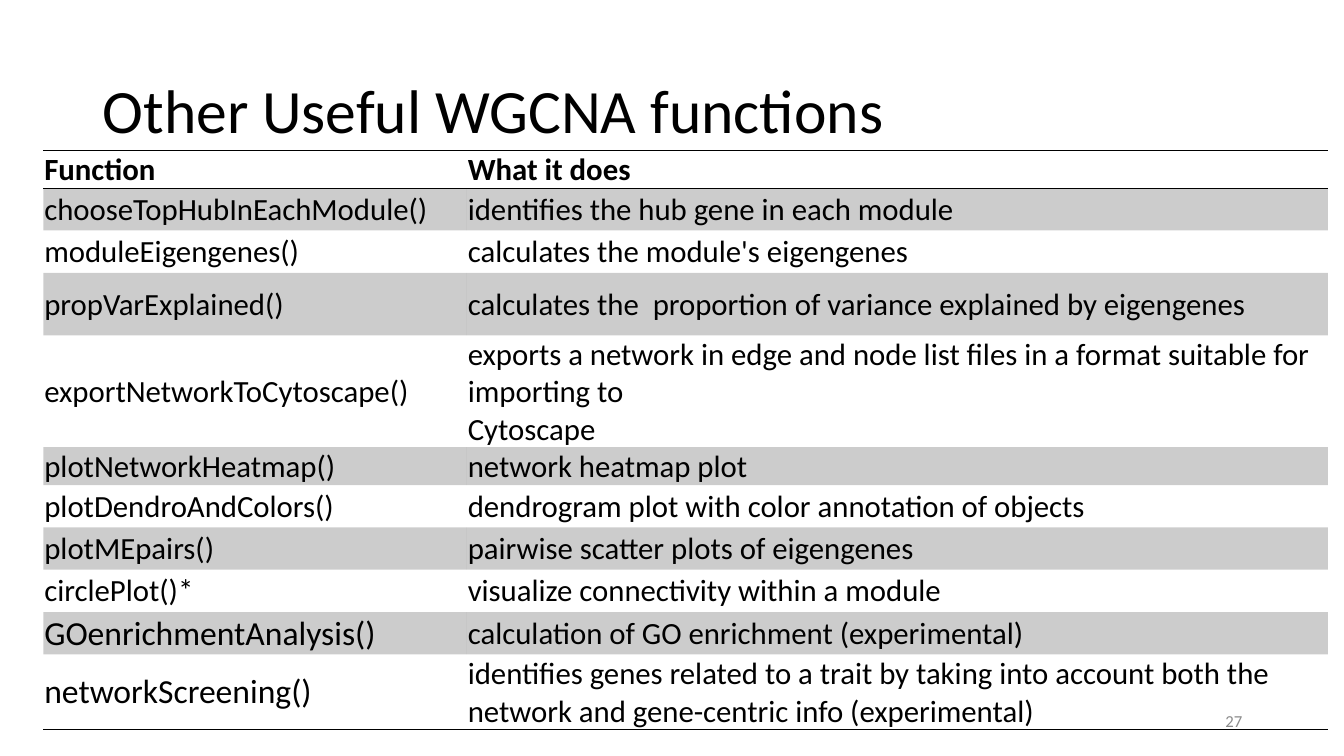
from lxml import etree
from pptx import Presentation
from pptx.dml.color import RGBColor
from pptx.enum.text import MSO_ANCHOR, PP_ALIGN
from pptx.oxml import parse_xml
from pptx.oxml.ns import nsdecls, qn
from pptx.util import Inches, Pt

COLORS = {"text": "000000", "band": "000000", "rule": "000000", "number": "8C8C8C"}
NO_STYLE_NO_GRID = "{2D5ABB26-0587-4C30-8999-92F81FD0307C}"
BAND_ALPHA = "20000"

HEADER = ("Function", "What it does")
FUNCTIONS = [
    ("chooseTopHubInEachModule()", "identifies the hub gene in each module"),
    ("moduleEigengenes()", "calculates the module's eigengenes"),
    ("propVarExplained()", "calculates the  proportion of variance explained by eigengenes"),
    ("exportNetworkToCytoscape()",
     "exports a network in edge and node list files in a format suitable for importing to\nCytoscape"),
    ("plotNetworkHeatmap()", "network heatmap plot"),
    ("plotDendroAndColors()", "dendrogram plot with color annotation of objects"),
    ("plotMEpairs()", "pairwise scatter plots of eigengenes"),
    ("circlePlot()*", "visualize connectivity within a module"),
    ("GOenrichmentAnalysis()", "calculation of GO enrichment (experimental)"),
    ("networkScreening()",
     "identifies genes related to a trait by taking into account both the network "
     "and gene-centric info (experimental)"),
]
LARGE_NAMES = ("GOenrichmentAnalysis()", "networkScreening()")
COLUMN_WIDTHS = (4.2, 8.54)
ROW_HEIGHTS = (0.21, 0.42, 0.42, 0.62, 0.83, 0.21, 0.42, 0.42, 0.42, 0.42, 0.42)


def write(frame, text, size, color="text", bold=False, align=PP_ALIGN.LEFT, spacing=1.0):
    frame.word_wrap = True
    paragraph = frame.paragraphs[0]
    paragraph.text = text
    paragraph.alignment = align
    paragraph.line_spacing = spacing
    for run in paragraph.runs:
        run.font.name = "Calibri"
        run.font.size = Pt(size)
        run.font.bold = bold
        run.font.color.rgb = RGBColor.from_string(COLORS[color])


def add_rule(cell, side):
    """Draw a 1 pt border on one side of a cell: lnT for top, lnB for bottom."""
    cell._tc.get_or_add_tcPr().append(parse_xml(
        f'<a:{side} {nsdecls("a")} w="12700"><a:solidFill>'
        f'<a:srgbClr val="{COLORS["rule"]}"/></a:solidFill></a:{side}>'))


presentation = Presentation()
presentation.slide_width = Inches(13.33)
presentation.slide_height = Inches(7.5)
slide = presentation.slides.add_slide(presentation.slide_layouts[6])

title = slide.shapes.add_textbox(Inches(0.92), Inches(0.4), Inches(11.5), Inches(1.45))
title.text_frame.vertical_anchor = MSO_ANCHOR.MIDDLE
write(title.text_frame, "Other Useful WGCNA functions", size=44, spacing=0.9)

number = slide.shapes.add_textbox(Inches(9.42), Inches(6.95), Inches(3), Inches(0.4))
number.text_frame.vertical_anchor = MSO_ANCHOR.MIDDLE
write(number.text_frame, "27", size=12, color="number", align=PP_ALIGN.RIGHT)

rows = [HEADER] + FUNCTIONS
table = slide.shapes.add_table(
    len(rows), len(HEADER), Inches(0.43), Inches(1.49),
    Inches(sum(COLUMN_WIDTHS)), Inches(sum(ROW_HEIGHTS))).table
table.horz_banding = False
table._tbl.tblPr.find(qn("a:tableStyleId")).text = NO_STYLE_NO_GRID
for column, width in zip(table.columns, COLUMN_WIDTHS):
    column.width = Inches(width)

for row_index, (texts, height) in enumerate(zip(rows, ROW_HEIGHTS)):
    table.rows[row_index].height = Inches(height)
    is_header = row_index == 0
    for column_index, text in enumerate(texts):
        cell = table.cell(row_index, column_index)
        cell.vertical_anchor = MSO_ANCHOR.MIDDLE
        cell.margin_left = cell.margin_top = cell.margin_right = Inches(0.01)
        cell.margin_bottom = 0
        write(cell.text_frame, text, size=24 if text in LARGE_NAMES else 22, bold=is_header)
        if is_header:
            add_rule(cell, "lnT")
        if is_header or row_index == len(rows) - 1:
            add_rule(cell, "lnB")
        if row_index % 2:
            cell.fill.solid()
            cell.fill.fore_color.rgb = RGBColor.from_string(COLORS["band"])
            band_color = cell._tc.tcPr.find(qn("a:solidFill")).find(qn("a:srgbClr"))
            etree.SubElement(band_color, qn("a:alpha"), val=BAND_ALPHA)
        else:
            cell.fill.background()

presentation.save("out.pptx")
